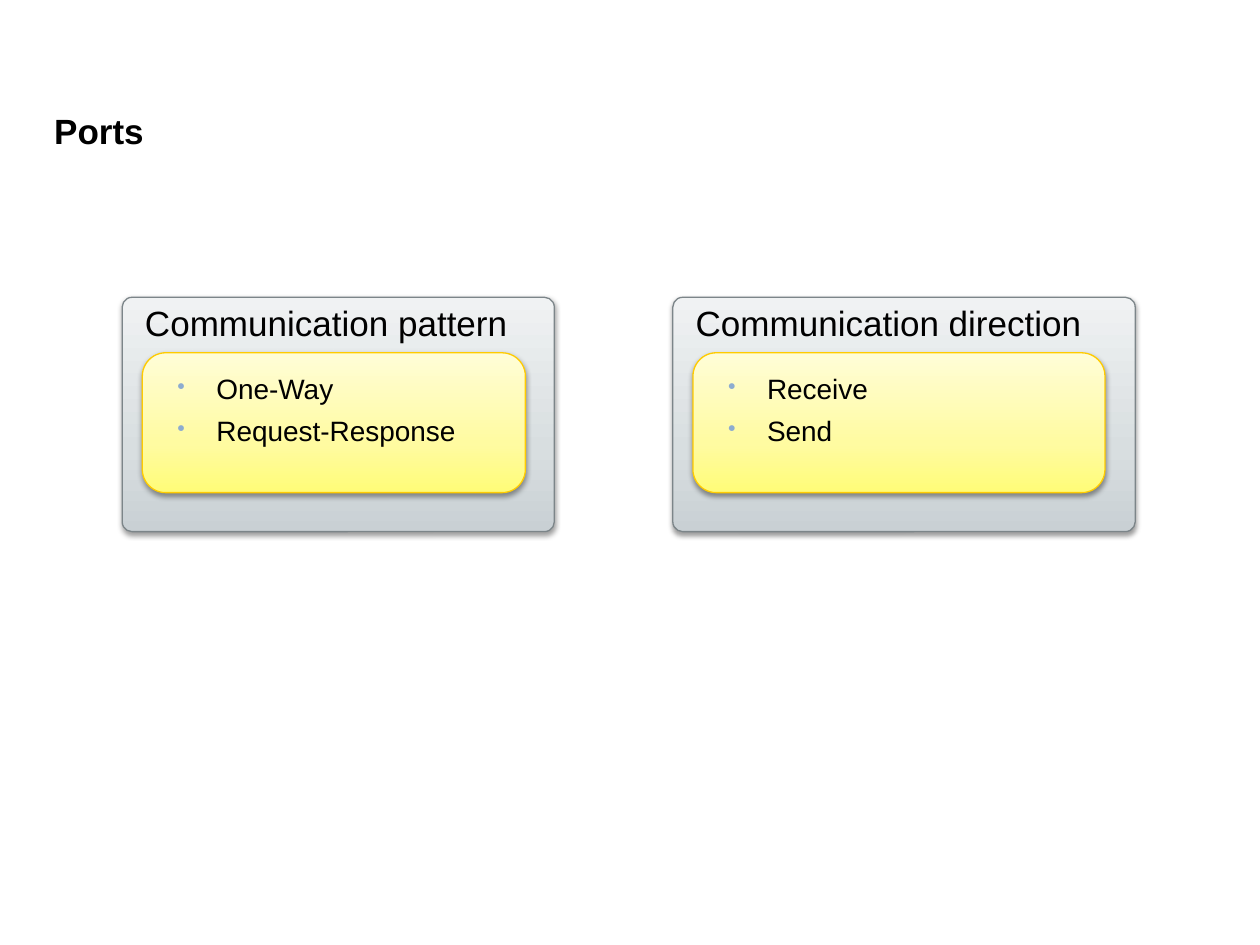
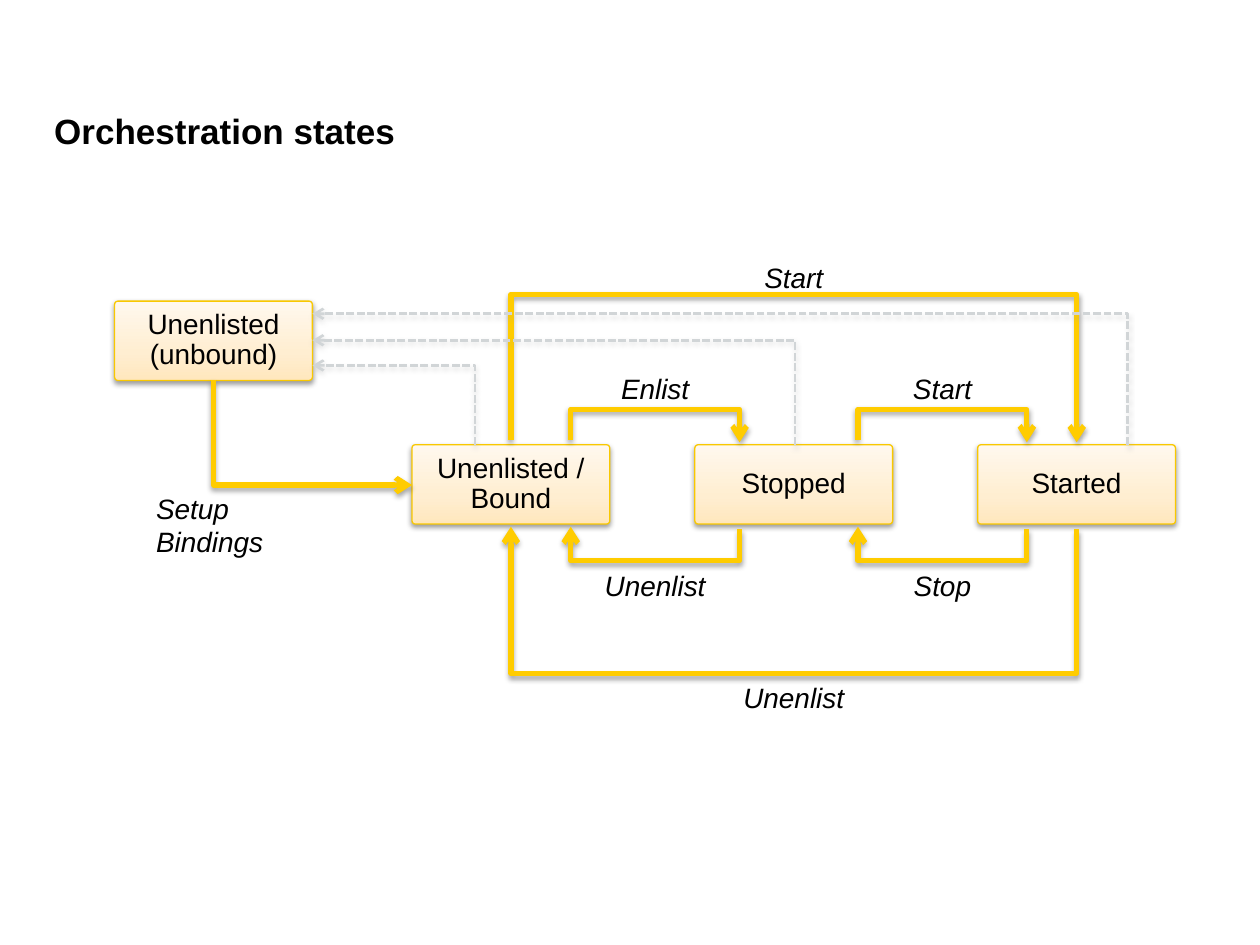
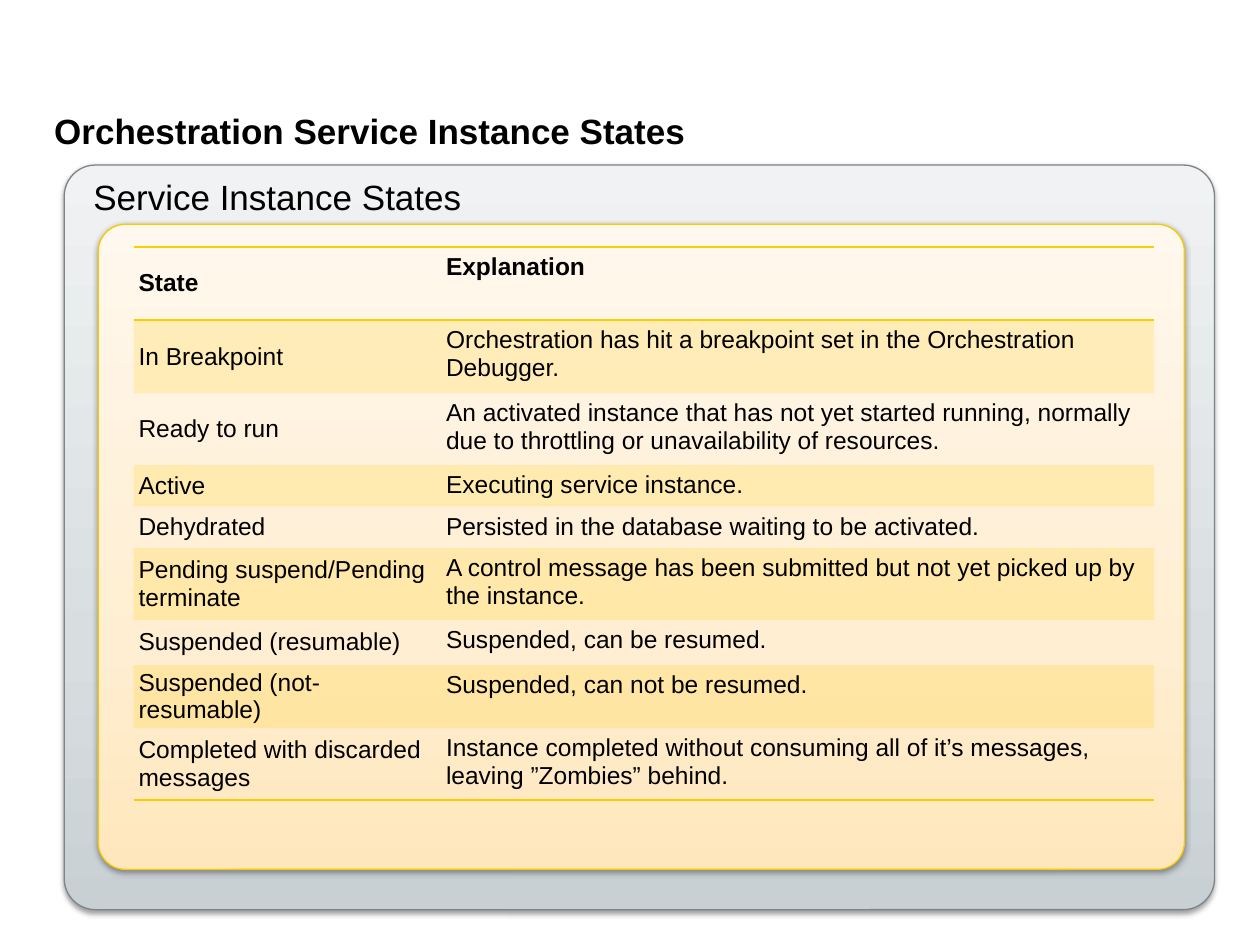
from copy import deepcopy
from dataclasses import dataclass

from lxml import etree
from pptx import Presentation
from pptx import util as u
from pptx.dml.color import RGBColor
from pptx.enum import dml, shapes, text
from pptx.oxml.ns import qn


@dataclass(frozen=True)
class Theme:
    font: str = "Arial"
    ink: str = "000000"
    accent: str = "FFCC00"
    bullet: str = "8DACD0"
    muted: str = "D1D5D7"
    muted_shadow: str = "A6A6A6"
    # Each look: gradient from bottom to top, then the outline
    grey: tuple = ("C9D0D4", "D8DEE0", "F0F2F3", "7C8589")
    yellow: tuple = ("FFFC78", "FFFBA1", "FFFDD7", "FFCB00")
    orange: tuple = ("FFE7BD", "FFEED1", "FFF8EE", "F9C800")
    stops: tuple = (0, 0.35, 1)
    heading: int = 20
    body: int = 16
    cell: int = 14


def rgb(value):
    return RGBColor.from_string(value)


def add_xml(parent, tag, **attrs):
    child = etree.SubElement(parent, qn(tag))
    for name, value in attrs.items():
        child.set(name, str(value))
    return child


class Deck:
    """Places elements on a grid of 100 columns by 75 rows."""

    COLUMNS, ROWS = 100, 75

    def __init__(self, theme):
        self.theme = theme
        self.prs = Presentation()
        self.prs.slide_width, self.prs.slide_height = u.Inches(10), u.Inches(7.5)
        self.s = None

    def cols(self, n):
        return u.Emu(round(self.prs.slide_width * n / self.COLUMNS))

    def rows(self, n):
        return u.Emu(round(self.prs.slide_height * n / self.ROWS))

    def box(self, left, top, width, height):
        return self.cols(left), self.rows(top), self.cols(width), self.rows(height)

    def slide(self, title):
        self.s = self.prs.slides.add_slide(self.prs.slide_layouts[5])
        sp = self.s.shapes.title
        sp.left, sp.top, sp.width, sp.height = self.box(4.3, 8.4, 91.4, 3.9)
        tf = sp.text_frame
        tf.margin_left = tf.margin_right = tf.margin_top = tf.margin_bottom = 0
        tf.vertical_anchor = text.MSO_ANCHOR.MIDDLE
        self.set_text(tf, title, self.theme.heading, bold=True)

    def set_text(self, tf, words, size, align=text.PP_ALIGN.LEFT, bold=False,
                 italic=False, spaced=False):
        tf.word_wrap = True
        tf.text = words
        for p in tf.paragraphs:
            p.alignment = align
            if spaced:
                p.line_spacing = 0.9
                p.space_before = u.Pt(round(size * 0.42))
            for r in p.runs:
                f = r.font
                f.name, f.size, f.bold, f.italic = self.theme.font, u.Pt(size), bold, italic
                f.color.rgb = rgb(self.theme.ink)

    def shadow(self, sp, color, alpha, distance):
        effects = add_xml(sp._element.spPr, "a:effectLst")
        outer = add_xml(effects, "a:outerShdw", blurRad=u.Pt(3.1), dist=u.Pt(distance),
                        dir=90 * 60000, algn="ctr", rotWithShape=0)
        add_xml(add_xml(outer, "a:srgbClr", val=color), "a:alpha", val=alpha * 1000)

    def panel(self, box, look, corner=0.042):
        sp = self.s.shapes.add_shape(shapes.MSO_SHAPE.ROUNDED_RECTANGLE, *self.box(*box))
        sp.adjustments[0] = corner
        sp.fill.gradient()
        sp.fill.gradient_angle = 90
        stop_list = sp._element.spPr.find(".//" + qn("a:gsLst"))
        stop_list.append(deepcopy(stop_list[-1]))
        for stop, position, color in zip(sp.fill.gradient_stops, self.theme.stops, look):
            stop.position = position
            stop.color.rgb = rgb(color)
        sp.line.color.rgb = rgb(look[-1])
        sp.line.width = u.Pt(0.75)
        self.shadow(sp, self.theme.ink, 38, 1.6)
        return sp

    def card(self, box, heading):
        tf = self.panel(box, self.theme.grey).text_frame
        tf.vertical_anchor = text.MSO_ANCHOR.TOP
        self.set_text(tf, heading, self.theme.heading, spaced=True)
        tf.paragraphs[0]._p.get_or_add_pPr().set("marL", str(u.Inches(0.06)))

    def state(self, left, top, width, height, name):
        tf = self.panel((left, top, width, height), self.theme.orange).text_frame
        tf.vertical_anchor = text.MSO_ANCHOR.MIDDLE
        self.set_text(tf, name, self.theme.body, text.PP_ALIGN.CENTER, spaced=True)

    def text_box(self, box, words, **style):
        tf = self.s.shapes.add_textbox(*self.box(*box)).text_frame
        self.set_text(tf, words, self.theme.body, **style)
        return tf

    def label(self, center, top, words, width=14.6):
        self.text_box((center - width / 2, top, width, 3.7), words,
                      align=text.PP_ALIGN.CENTER, italic=True)

    def bullets(self, box, items):
        indent = u.Inches(0.31)
        for p in self.text_box(box, "\n".join(items), spaced=True).paragraphs:
            pPr = p._p.get_or_add_pPr()
            pPr.set("marL", str(indent))
            pPr.set("indent", str(-indent))
            add_xml(add_xml(pPr, "a:buClr"), "a:srgbClr", val=self.theme.bullet)
            add_xml(pPr, "a:buSzPct", val=80000)
            add_xml(pPr, "a:buChar", char="•")

    def arrow(self, start, end, level=None, muted=False):
        """Leaves vertically; turns once, or runs along row `level` and turns back."""
        (x1, y1), (x2, y2) = start, end
        # The frame is a quarter turn off, so its width spans the rows
        width, height = abs(y2 - y1), abs(x2 - x1)
        left, top, w, h = self.box((x1 + x2 - width) / 2, (y1 + y2 - height) / 2,
                                   width, height)
        c = self.s.shapes.add_connector(shapes.MSO_CONNECTOR.ELBOW,
                                        left, top, left + w, top + h)
        spPr = c._element.spPr
        frame = spPr.find(qn("a:xfrm"))
        frame.set("rot", str((270 if x2 > x1 else 90) * 60000))
        frame.set("flipH", "1")
        geometry = spPr.find(qn("a:prstGeom"))
        if level is None:
            geometry.set("prst", "bentConnector2")
        else:
            bend = round((level - y1) / (y2 - y1) * 100000)
            guides = geometry.find(qn("a:avLst"))
            if guides is None:
                guides = add_xml(geometry, "a:avLst")
            add_xml(guides, "a:gd", name="adj1", fmla=f"val {bend}")
        c.line.color.rgb = rgb(self.theme.muted if muted else self.theme.accent)
        c.line.width = u.Pt(1.5 if muted else 3)
        if muted:
            c.line.dash_style = dml.MSO_LINE.SQUARE_DOT
        add_xml(spPr.find(qn("a:ln")), "a:tailEnd", type="arrow")
        self.shadow(c, self.theme.muted_shadow if muted else self.theme.ink, 35, 1.8)

    def rule(self, cell, side):
        ln = add_xml(cell._tc.get_or_add_tcPr(), side, w=u.Pt(1))
        add_xml(add_xml(ln, "a:solidFill"), "a:srgbClr", val=self.theme.accent)

    def table(self, left, top, widths, heights, records):
        frame = self.s.shapes.add_table(len(heights), len(widths), *self.box(
            left, top, sum(widths), sum(heights)))
        table = frame.table
        table.horz_banding = table.first_row = False
        style = table._tbl.tblPr.find(qn("a:tableStyleId"))
        style.text = "{2D5ABB26-0587-4C30-8999-92F81FD0307C}"
        for column, width in zip(table.columns, widths):
            column.width = self.cols(width)
        for row, height in zip(table.rows, heights):
            row.height = self.rows(height)
        for i, record in enumerate(records):
            for j, words in enumerate(record):
                self.cell(table.cell(i, j), words, header=i == 0, name=j == 0,
                          last=i == len(records) - 1, banded=i % 2 == 1)

    def cell(self, cell, words, header, name, last, banded):
        side, edge = (0.04, 0.02) if name else (0.1, 0.05)
        cell.margin_left = cell.margin_right = u.Inches(side)
        cell.margin_top = cell.margin_bottom = u.Inches(edge)
        cell.vertical_anchor = text.MSO_ANCHOR.MIDDLE if name else text.MSO_ANCHOR.TOP
        self.set_text(cell.text_frame, words, self.theme.cell, bold=header)
        if header:
            self.rule(cell, "a:lnT")
        if header or last:
            self.rule(cell, "a:lnB")
        if banded:
            cell.fill.solid()
            cell.fill.fore_color.rgb = rgb(self.theme.accent)
            color = cell._tc.tcPr.find(qn("a:solidFill"))[0]
            add_xml(color, "a:alpha", val=20000)
        else:
            cell.fill.background()


def ports(deck):
    deck.slide("Ports")
    groups = (
        (9.7, 34.3, 30.4, "Communication pattern", ("One-Way", "Request-Response")),
        (53.4, 36.7, 32.7, "Communication direction", ("Receive", "Send")),
    )
    for left, width, inner_width, heading, items in groups:
        deck.card((left, 23.6, width, 18.6), heading)
        deck.panel((left + 1.6, 28, inner_width, 11.1), deck.theme.yellow, corner=0.167)
        deck.bullets((left + 3.4, 29.3, 29, 6.9), items)


def orchestration_states(deck):
    deck.slide("Orchestration states")
    width, height, top, first, pitch = 15.7, 6.3, 35.3, 32.7, 22.45
    unbound_left, unbound_top = 9.1, 23.9
    for i, name in enumerate(("Unenlisted / Bound", "Stopped", "Started")):
        deck.state(first + i * pitch, top, width, height, name)
    deck.state(unbound_left, unbound_top, width, height, "Unenlisted (unbound)")

    bound = first + width / 2
    started = bound + 2 * pitch
    above, below, step = top - 0.4, top + height + 0.4, 0.2

    def there_and_back(x1, x2, upper, lower):
        deck.arrow((x1, above), (x2, above + step), level=upper)
        deck.arrow((x2, below), (x1, below - step), level=lower)

    deck.arrow((unbound_left + width / 2, unbound_top + height), (first, top + 3.2))
    deck.text_box((11.4, 38.5, 11, 6.4), "Setup Bindings", italic=True)
    for i, (forward, back) in enumerate((("Enlist", "Unenlist"), ("Start", "Stop"))):
        x1 = 45.3 + i * 22.8
        x2 = x1 + 13.4
        there_and_back(x1, x2, 32.5, 44.5)
        deck.label((x1 + x2) / 2, 29, forward)
        deck.label((x1 + x2) / 2, 44.6, back)
    there_and_back(bound, started, 23.4, 53.4)
    deck.label((bound + started) / 2, 20.2, "Start")
    deck.label((bound + started) / 2, 53.5, "Unenlist")
    for x, level in ((37.7, 29), (63.1, 27), (89.5, 24.9)):
        deck.arrow((x, top), (unbound_left + width, level), muted=True)


def instance_states(deck):
    deck.slide("Orchestration Service Instance States")
    deck.card((5.1, 13.1, 91.3, 59.1), "Service Instance States")
    deck.panel((7.8, 17.8, 86.2, 51.2), deck.theme.orange)
    deck.table(10.6, 19.6, (23.8, 57.2), (5.8, 5.8, 5.7, 3.3, 3.3, 5.7, 3.6, 5, 5.7), (
        ("State", "Explanation"),
        ("In Breakpoint",
         "Orchestration has hit a breakpoint set in the Orchestration Debugger."),
        ("Ready to run",
         "An activated instance that has not yet started running, normally due to "
         "throttling or unavailability of resources."),
        ("Active", "Executing service instance."),
        ("Dehydrated", "Persisted in the database waiting to be activated."),
        ("Pending suspend/Pending terminate",
         "A control message has been submitted but not yet picked up by the instance."),
        ("Suspended (resumable)", "Suspended, can be resumed."),
        ("Suspended (not-resumable)", "Suspended, can not be resumed."),
        ("Completed with discarded messages",
         "Instance completed without consuming all of it’s messages, leaving "
         "”Zombies” behind."),
    ))


def main():
    deck = Deck(Theme())
    ports(deck)
    orchestration_states(deck)
    instance_states(deck)
    deck.prs.save("out.pptx")


if __name__ == "__main__":
    main()
